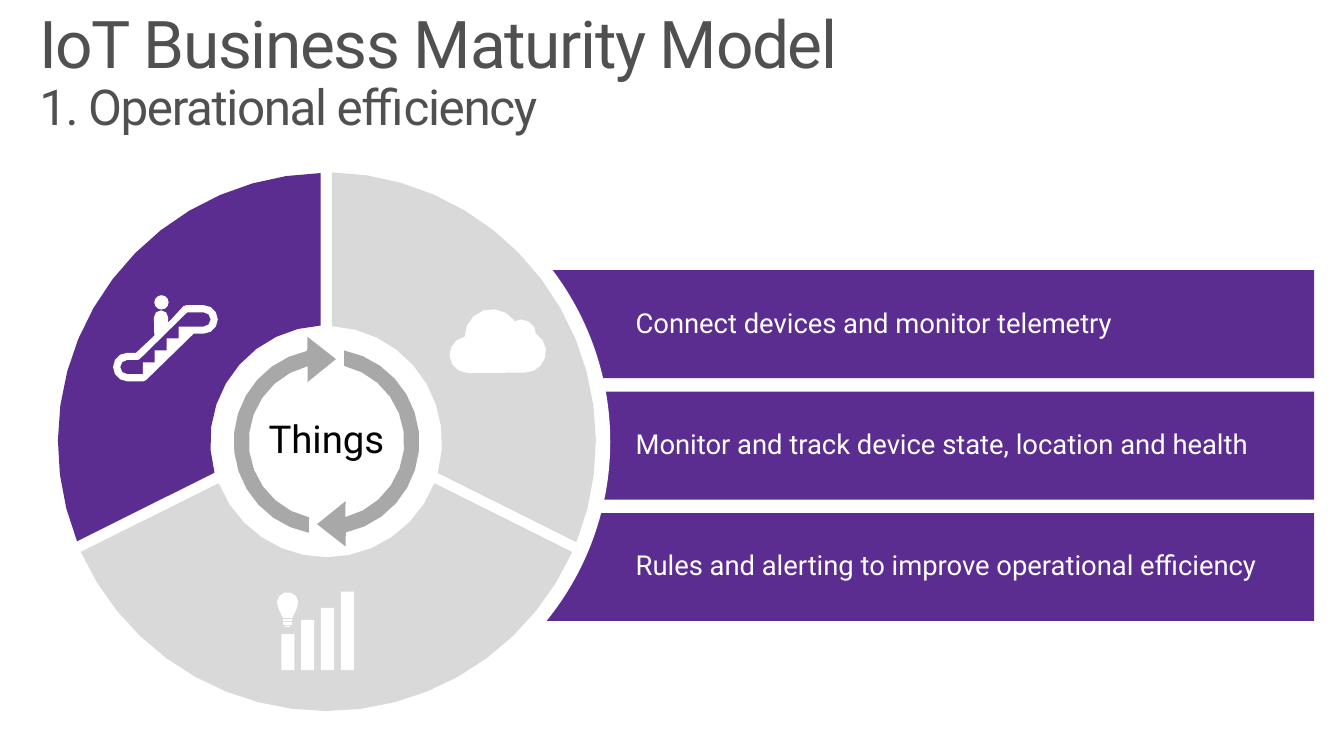
import math

import pptx
import pptx.dml.color
import pptx.enum.shapes
import pptx.enum.text
import pptx.util

Cm = pptx.util.Cm
Pt = pptx.util.Pt
SHAPES = pptx.enum.shapes.MSO_SHAPE
ANCHOR = pptx.enum.text.MSO_ANCHOR
ALIGN = pptx.enum.text.PP_ALIGN

FONT = "Roboto"
PURPLE, GREY, ARROW_GREY = "5C2D91", "D9D9D9", "A8A8A8"
WHITE, BLACK, TITLE_GREY = "FFFFFF", "000000", "505050"

# Content; all lengths in centimetres, angles in degrees clockwise from the right
TITLE_LINES = [("IoT Business Maturity Model", 47), ("1. Operational efficiency", 35.3)]
BENEFITS = [
    "Connect devices and monitor telemetry",
    "Monitor and track device state, location and health",
    "Rules and alerting to improve operational efficiency",
]
HUB_LABEL = "Things"

WHEEL_X, WHEEL_Y = 8.23, 11.13
RIM, OUTER, INNER = 7.15, 6.77, 2.93
HALF_GAP = 0.15
ARC_TOLERANCE = 0.015
# Spokes: angle and sideways offset from the wheel's centre
RIGHT_SPOKE, LEFT_SPOKE, TOP_SPOKE = (26.5, -0.41), (153.5, 0.41), (270, 0)
SECTORS = [
    (LEFT_SPOKE, TOP_SPOKE, PURPLE),
    (TOP_SPOKE, (RIGHT_SPOKE[0] + 360, RIGHT_SPOKE[1]), GREY),
    (RIGHT_SPOKE, LEFT_SPOKE, GREY),
]
ARROW_OUTER, ARROW_INNER = 2.34, 1.96
ARROW_HEAD = [(-0.48, -2.64), (0.24, -2.08), (-0.48, -1.5)]

BAR_LEFT, BAR_TOP, BAR_WIDTH, BAR_HEIGHT, BAR_PITCH = 13.28, 6.81, 19.84, 2.72, 3.06
CLOUD_ARCS = [
    (11.79, 8.94, 0.46, 90, 260),
    (12.4, 8.48, 0.69, 180, 323),
    (13.13, 8.43, 0.38, 240, 360),
    (13.23, 8.86, 0.53, 303, 450),
]
COLUMN_HEIGHTS = [0.91, 1.27, 1.57, 1.98]
COLUMN_LEFT, COLUMN_BASE, COLUMN_WIDTH, COLUMN_PITCH = 7.09, 16.89, 0.33, 0.5
BULB_X, BULB_Y, BULB_RADIUS = 7.25, 15.19, 0.27
BULB_BANDS = [(15.6, 0.23, 0.05), (15.67, 0.23, 0.08), (15.77, 0.13, 0.03)]


def color(hex_string):
    return pptx.dml.color.RGBColor.from_string(hex_string)


def arc(x, y, radius, start, end):
    """Points along a circle, just close enough together to look round."""
    widest_step = 2 * math.degrees(math.acos(1 - ARC_TOLERANCE / radius))
    steps = math.ceil(abs(end - start) / widest_step)
    angles = [math.radians(start + (end - start) * i / steps) for i in range(steps + 1)]
    return [(x + radius * math.cos(a), y + radius * math.sin(a)) for a in angles]


def paint(shape, fill, line=None):
    shape.shadow.inherit = False
    shape.fill.solid()
    shape.fill.fore_color.rgb = color(fill)
    if line:
        shape.line.color.rgb = color(line)
        shape.line.width = Pt(1)
    else:
        shape.line.fill.background()
    return shape


def add_outline(contours, fill, line=None):
    """Filled freeform; a contour inside another makes a hole."""
    contours = [[(Cm(x), Cm(y)) for x, y in contour] for contour in contours]
    builder = slide.shapes.build_freeform(*contours[0][0])
    builder.add_line_segments(contours[0][1:], close=True)
    for contour in contours[1:]:
        builder.move_to(*contour[0])
        builder.add_line_segments(contour[1:], close=True)
    return paint(builder.convert_to_shape(), fill, line)


def add_preset(kind, left, top, width, height, fill):
    shape = slide.shapes.add_shape(kind, Cm(left), Cm(top), Cm(width), Cm(height))
    return paint(shape, fill)


def add_disc(x, y, radius, fill):
    return add_preset(SHAPES.OVAL, x - radius, y - radius, 2 * radius, 2 * radius, fill)


def set_frame(shape, anchor, left, top, right, bottom):
    frame = shape.text_frame
    frame.word_wrap = True
    frame.auto_size = pptx.enum.text.MSO_AUTO_SIZE.NONE
    frame.vertical_anchor = anchor
    frame.margin_left, frame.margin_top = Cm(left), Cm(top)
    frame.margin_right, frame.margin_bottom = Cm(right), Cm(bottom)
    return frame.paragraphs[0]


def add_run(paragraph, text, size, text_color, align=ALIGN.LEFT):
    paragraph.alignment = align
    paragraph.line_spacing = 0.9
    run = paragraph.add_run()
    run.text = text
    run.font.name, run.font.size = FONT, Pt(size)
    run.font.color.rgb = color(text_color)
    return run


def spoke_angle(spoke, side, radius):
    """Angle at which one edge of a spoke's gap crosses a circle."""
    angle, offset = spoke
    return angle + math.degrees(math.asin((offset + side * HALF_GAP) / radius))


def add_sector(start, end, fill):
    outer, inner = [
        arc(WHEEL_X, WHEEL_Y, r, spoke_angle(start, 1, r), spoke_angle(end, -1, r))
        for r in (OUTER, INNER)
    ]
    add_outline([outer + inner[::-1]], fill, GREY if fill == GREY else None)


def add_cycle_arrows():
    arrow = arc(0, 0, ARROW_OUTER, 101, 258) + ARROW_HEAD
    arrow += arc(0, 0, ARROW_INNER, 256, 103)
    add_outline(
        [[(WHEEL_X + s * x, WHEEL_Y + s * y) for x, y in arrow] for s in (1, -1)],
        ARROW_GREY,
    )


def add_escalator():
    body = arc(5.13, 8.05, 0.36, -90, 90) + [(4.88, 8.41), (3.68, 9.58), (3.61, 9.61)]
    body += arc(3.21, 9.25, 0.36, 90, 270) + [(3.43, 8.89), (3.89, 8.46)]
    body += arc(4.06, 8, 0.18, 180, 360) + [(4.24, 8.13), (4.62, 7.72), (4.7, 7.69)]
    hole = arc(5.13, 8.05, 0.18, -90, 90)
    for i in range(4):
        x, y = 4.5 - 0.3 * i, 8.23 + 0.3 * i
        hole += [(x, y), (x, y + 0.3)]
    hole += arc(3.21, 9.25, 0.18, 90, 270) + [(3.48, 9.07), (3.53, 9.04), (4.72, 7.87)]
    add_outline([body, hole], WHITE)
    add_disc(4.07, 7.62, 0.18, WHITE)


def add_insight_icon():
    """Rising columns with a light bulb above the first."""
    for i, height in enumerate(COLUMN_HEIGHTS):
        add_preset(SHAPES.RECTANGLE, COLUMN_LEFT + i * COLUMN_PITCH,
                   COLUMN_BASE - height, COLUMN_WIDTH, height, WHITE)
    glass = arc(BULB_X, BULB_Y, BULB_RADIUS, 150, 390)
    add_outline([glass + [(BULB_X + 0.12, 15.57), (BULB_X - 0.12, 15.57)]], WHITE)
    for top, width, height in BULB_BANDS:
        add_preset(SHAPES.ROUNDED_RECTANGLE, BULB_X - width / 2, top, width, height, WHITE)


presentation = pptx.Presentation()
presentation.slide_width, presentation.slide_height = Cm(33.87), Cm(19.05)
slide = presentation.slides.add_slide(presentation.slide_layouts[5])

title = slide.shapes.title
title.left, title.top, title.width, title.height = Cm(0.74), Cm(0.17), Cm(32.36), Cm(3.4)
title_paragraph = set_frame(title, ANCHOR.TOP, 0.25, 0.13, 0.25, 0.13)
for i, (text, size) in enumerate(TITLE_LINES):
    if i:
        title_paragraph.add_line_break()
    run = add_run(title_paragraph, text, size, TITLE_GREY)
    run.font._element.set("spc", "-100")

for i, text in enumerate(BENEFITS):
    bar = add_preset(SHAPES.RECTANGLE, BAR_LEFT, BAR_TOP + i * BAR_PITCH,
                     BAR_WIDTH, BAR_HEIGHT, PURPLE)
    add_run(set_frame(bar, ANCHOR.MIDDLE, 2.74, 0.13, 1.24, 0.13), text, 19.6, WHITE)

add_disc(WHEEL_X, WHEEL_Y, RIM, WHITE)
for sector in SECTORS:
    add_sector(*sector)
add_cycle_arrows()
hub = slide.shapes.add_textbox(Cm(5.33), Cm(10.54), Cm(5.79), Cm(1.14))
add_run(set_frame(hub, ANCHOR.MIDDLE, 0.51, 0.41, 0.51, 0.41),
        HUB_LABEL, 27.4, BLACK, ALIGN.CENTER)

add_escalator()
add_outline([[point for part in CLOUD_ARCS for point in arc(*part)]], WHITE)
add_insight_icon()

presentation.save("out.pptx")
